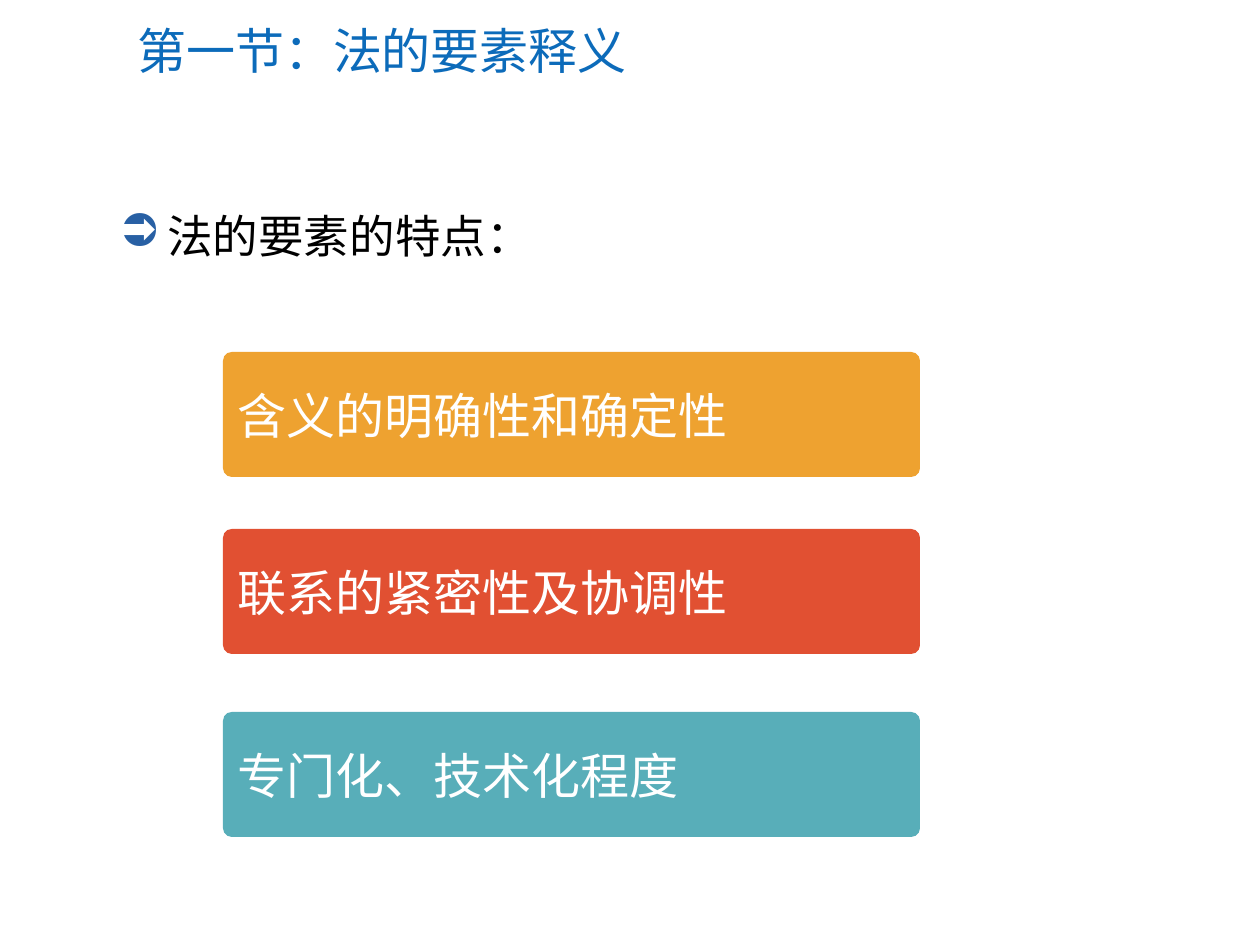
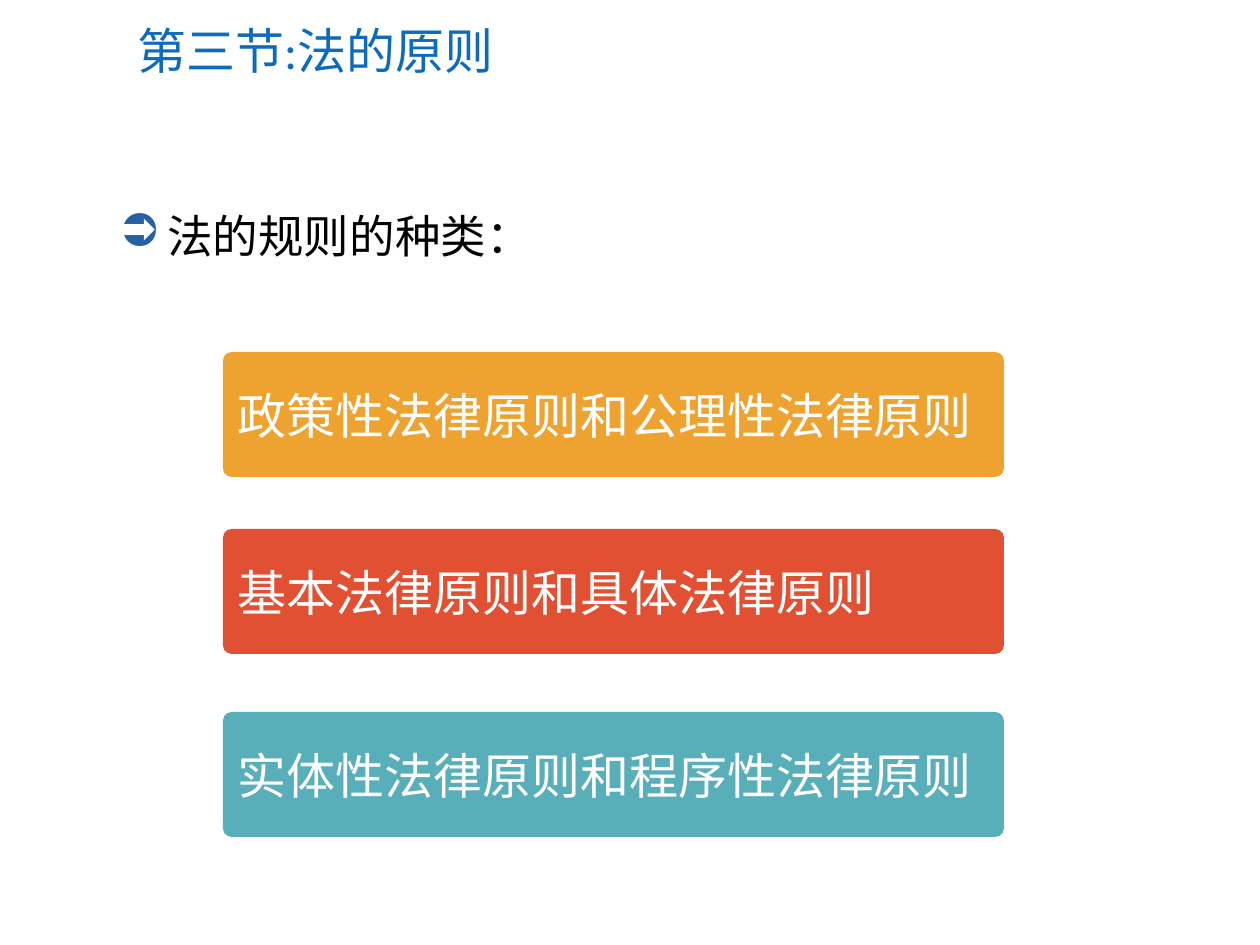
from lxml import etree
from pptx import Presentation
from pptx.dml.color import RGBColor
from pptx.enum.shapes import MSO_SHAPE
from pptx.enum.text import MSO_ANCHOR, PP_ALIGN
from pptx.oxml.ns import qn
from pptx.util import Pt

PX = 914400 / 126
FONT = "Calibri"
TITLE_BLUE = RGBColor(0x0C, 0x6B, 0xBA)
BULLET_BLUE = RGBColor(0x28, 0x60, 0xA4)
BLACK = RGBColor(0x00, 0x00, 0x00)
WHITE = RGBColor(0xFF, 0xFF, 0xFF)
ORANGE = RGBColor(0xEE, 0xA2, 0x30)
RED = RGBColor(0xE1, 0x50, 0x32)
TEAL = RGBColor(0x58, 0xAE, 0xB9)

CARD_LEFT, CARD_HEIGHT = 223, 125
CARD_STYLES = [(352, ORANGE), (529, RED), (712, TEAL)]

SLIDES = [
    ("第一节：法的要素释义", "法的要素的特点：", 697,
     ["含义的明确性和确定性", "联系的紧密性及协调性", "专门化、技术化程度"]),
    ("第三节:法的原则", "法的规则的种类：", 781,
     ["政策性法律原则和公理性法律原则", "基本法律原则和具体法律原则",
      "实体性法律原则和程序性法律原则"]),
]


def box(*lengths):
    return [round(length * PX) for length in lengths]


def write(shape, text, size, color, anchor):
    frame = shape.text_frame
    frame.text = text
    frame.word_wrap = True
    frame.vertical_anchor = anchor
    paragraph = frame.paragraphs[0]
    paragraph.alignment = PP_ALIGN.LEFT
    font = paragraph.runs[0].font
    font.name = FONT
    font.size = Pt(size)
    font.color.rgb = color
    return paragraph


presentation = Presentation()
presentation.slide_width, presentation.slide_height = box(1260, 945)

for title, lead, card_width, points in SLIDES:
    slide = presentation.slides.add_slide(presentation.slide_layouts[6])

    title_box = slide.shapes.add_textbox(*box(125, 13, 1099, 73))
    write(title_box, title, 28, TITLE_BLUE, MSO_ANCHOR.MIDDLE)

    lead_box = slide.shapes.add_textbox(*box(107, 202, 814, 77))
    paragraph = write(lead_box, lead, 26, BLACK, MSO_ANCHOR.TOP)
    properties = paragraph._p.get_or_add_pPr()
    indent = round(48 * PX)
    properties.set("marL", str(indent))
    properties.set("indent", str(-indent))
    bullet_color = etree.SubElement(properties, qn("a:buClr"))
    etree.SubElement(bullet_color, qn("a:srgbClr"), val=str(BULLET_BLUE))
    etree.SubElement(properties, qn("a:buChar"), char="➲")

    for point, (top, color) in zip(points, CARD_STYLES):
        card = slide.shapes.add_shape(
            MSO_SHAPE.ROUNDED_RECTANGLE, *box(CARD_LEFT, top, card_width, CARD_HEIGHT))
        card.adjustments[0] = 0.07
        card.shadow.inherit = False
        card.fill.solid()
        card.fill.fore_color.rgb = color
        card.line.fill.background()
        write(card, point, 28, WHITE, MSO_ANCHOR.MIDDLE)

presentation.save("out.pptx")
